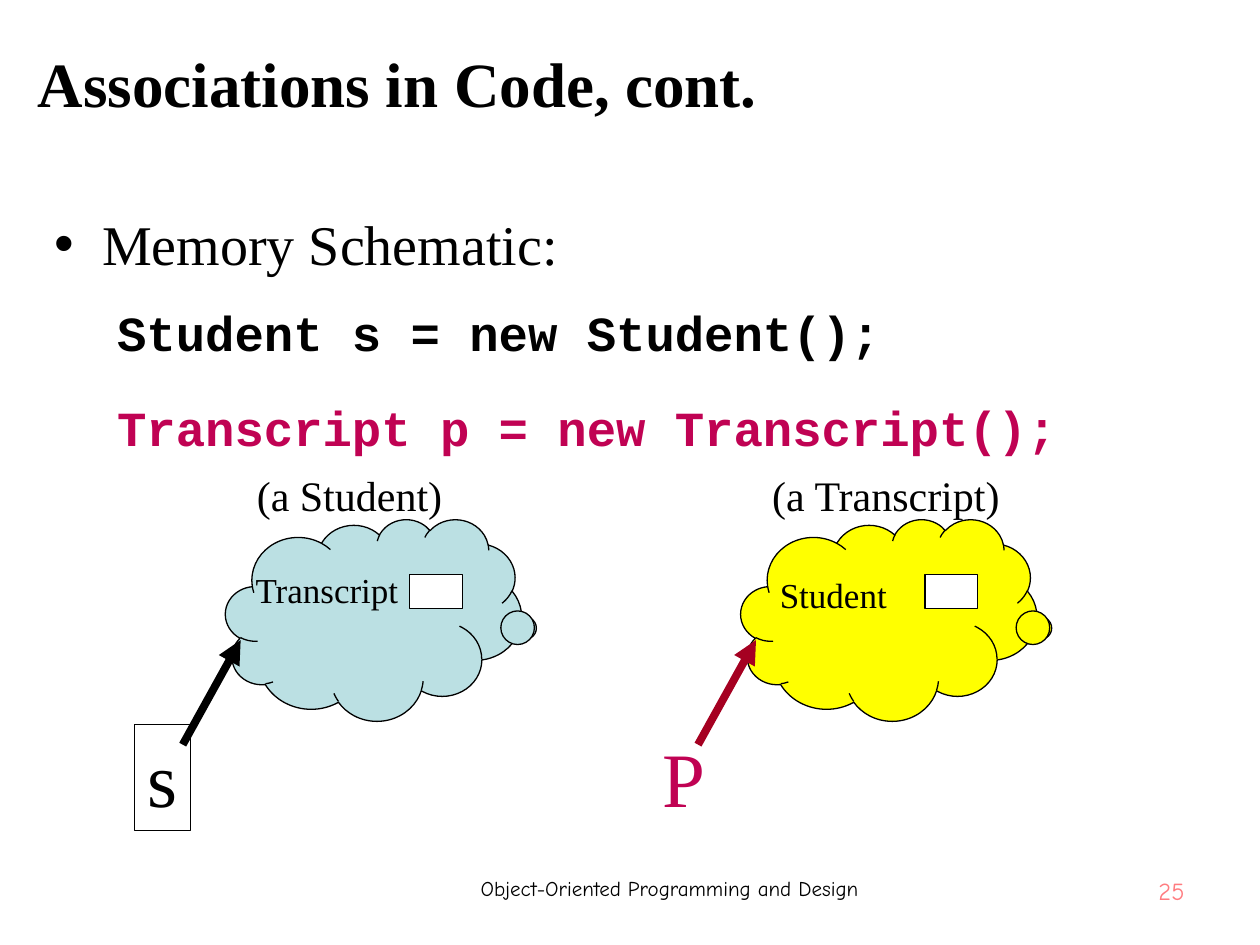
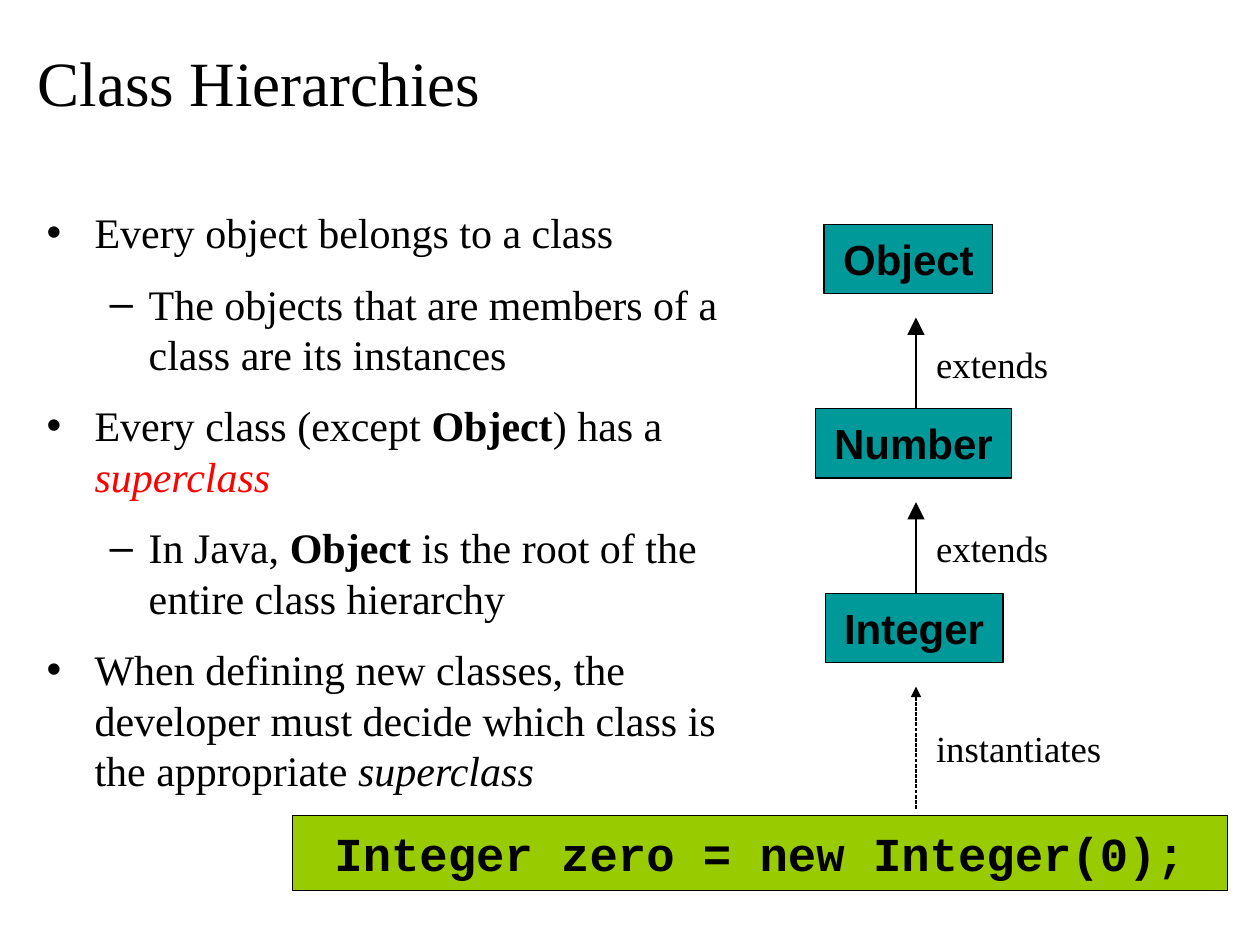
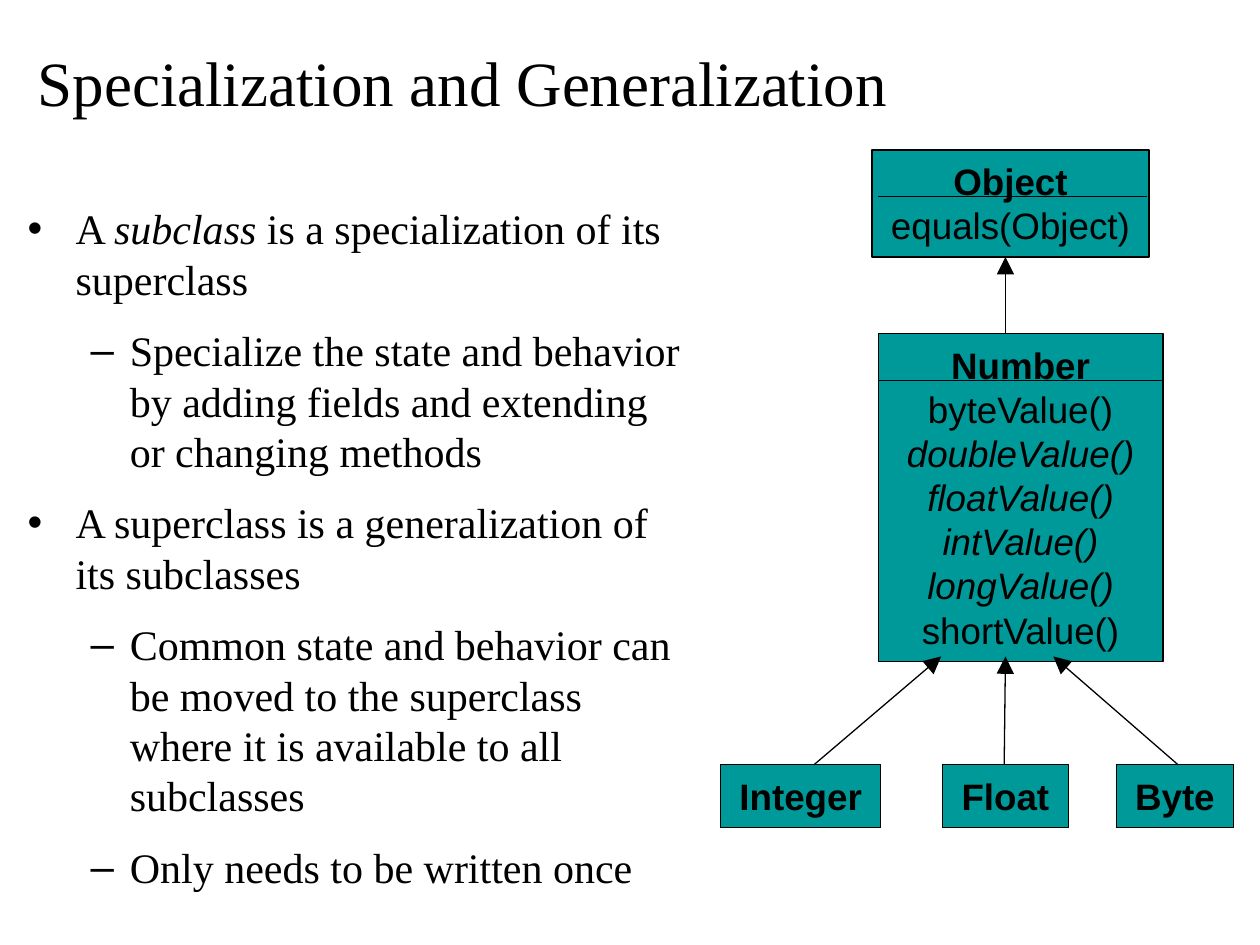
from lxml import etree
from pptx import Presentation
from pptx.dml.color import RGBColor
from pptx.enum.dml import MSO_LINE
from pptx.enum.shapes import MSO_CONNECTOR, MSO_SHAPE
from pptx.enum.text import MSO_ANCHOR, MSO_AUTO_SIZE, PP_ALIGN
from pptx.oxml.ns import qn
from pptx.util import Inches, Pt

COLORS = {
    "black": "000000", "white": "FFFFFF", "red": "FF0000", "crimson": "C00253",
    "dark red": "A50021", "pink": "FF7C80", "pale blue": "BBE0E3",
    "yellow": "FFFF00", "teal": "009999", "green": "99CC00",
}
SERIF, SANS, MONO, COMIC = "Times New Roman", "Arial", "Courier New", "Comic Neue"
LEFT, CENTER, RIGHT = PP_ALIGN.LEFT, PP_ALIGN.CENTER, PP_ALIGN.RIGHT
TEXT_INSETS, DIAGRAM_INSETS = (0.1, 0.05), (0.15, 0.07)
INDENTS = [(0.38, -0.38), (0.81, -0.31)]
BOLD, ITALIC = {"bold": True}, {"italic": True}

# Each list item is (level, text or runs, format of the paragraph).
SCHEMATIC_LIST = [
    (0, "Memory Schematic:", {"size": 32, "space": 8}),
    (1, "Student s = new Student();", {"size": 28, "font": MONO, "bold": True, "space": 7}),
    (1, "Transcript p = new Transcript();",
     {"size": 28, "font": MONO, "bold": True, "space": 7, "color": "crimson", "spacing": 1.2}),
]
HIERARCHY_LIST = [
    (0, "Every object belongs to a class", {}),
    (1, "The objects that are members of a class are its instances", {}),
    (0, [("Every class (except ", {}), ("Object", BOLD), (") has a ", {}),
         ("superclass", {"italic": True, "color": "red"})], {}),
    (1, [("In Java, ", {}), ("Object", BOLD),
         (" is the root of the entire class hierarchy", {})], {}),
    (0, [("When defining new classes, the developer must decide which class is "
          "the appropriate ", {}), ("superclass", ITALIC)], {}),
]
SPECIALIZATION_LIST = [
    (0, [("A ", {}), ("subclass", ITALIC), (" is a specialization of its superclass", {})], {}),
    (1, "Specialize the state and behavior by adding fields and extending "
        "or changing methods", {}),
    (0, "A superclass is a generalization of its subclasses", {}),
    (1, "Common state and behavior can be moved to the superclass where it is "
        "available to all subclasses", {}),
    (1, "Only needs to be written once", {}),
]

# Memory objects: cloud left, cloud fill, arrow colour, caption and its width,
# field name and its box.
MEMORY_OBJECTS = [
    (1.79, "pale blue", "black", "(a Student)", 1.8, "Transcript", (1.93, 4.46, 1.34, 0.77)),
    (5.88, "yellow", "dark red", "(a Transcript)", 2.12, "Student", (6.09, 4.5, 1.19, 0.44)),
]
# Hierarchy: class name, left, width, then the relation below it and its width.
HIERARCHY = [
    ("Object", 6.54, 1.34, "extends", 1.19),
    ("Number", 6.47, 1.56, "extends", 1.19),
    ("Integer", 6.55, 1.41, "instantiates", 1.61),
]
# Class boxes: box, lines, and the rule under the name.
CLASS_BOXES = [
    ((6.92, 1.19, 2.2, 0.85), [[("Object", BOLD)], "equals(Object)"],
     ((6.97, 1.56), (9.1, 1.56))),
    ((6.97, 2.65, 2.26, 2.6),
     [[("Number", BOLD)], "byteValue()"]
     + [[(name, ITALIC)] for name in
        ("doubleValue()", "floatValue()", "intValue()", "longValue()")]
     + ["shortValue()"],
     ((6.97, 3.02), (9.24, 3.02))),
]
# Subclasses: name, left, width, arrow start x, arrow end x.
SUBCLASSES = [
    ("Integer", 5.72, 1.27, 6.46, 7.47),
    ("Float", 7.48, 1, 7.97, 7.98),
    ("Byte", 8.86, 0.93, 9.35, 8.36),
]


def rgb(name):
    return RGBColor.from_string(COLORS[name])


def write(paragraph, text, size=24, font=SERIF, color="black", bold=False,
          italic=False, align=LEFT):
    """Fill a paragraph with a string or with (text, format) runs."""
    paragraph.alignment = align
    base = {"size": size, "font": font, "color": color, "bold": bold, "italic": italic}
    for part, changes in ([(text, {})] if isinstance(text, str) else text):
        style = base | changes
        run = paragraph.add_run()
        run.text = part
        run.font.size = Pt(style["size"])
        run.font.name = style["font"]
        run.font.bold = style["bold"]
        run.font.italic = style["italic"]
        run.font.color.rgb = rgb(style["color"])


def fill_frame(shape, lines, insets=TEXT_INSETS, wrap=True, **style):
    frame = shape.text_frame
    frame.word_wrap = wrap
    frame.auto_size = MSO_AUTO_SIZE.NONE
    frame.vertical_anchor = MSO_ANCHOR.TOP
    frame.margin_left = frame.margin_right = Inches(insets[0])
    frame.margin_top = frame.margin_bottom = Inches(insets[1])
    for index, line in enumerate(lines):
        paragraph = frame.add_paragraph() if index else frame.paragraphs[0]
        write(paragraph, line, **style)


def add_label(slide, box, text, **style):
    fill_frame(slide.shapes.add_textbox(*map(Inches, box)), [text], **style)


def add_box(slide, box, fill=None, lines=(), kind=MSO_SHAPE.RECTANGLE, **style):
    shape = slide.shapes.add_shape(kind, *map(Inches, box))
    shape.shadow.inherit = False
    if fill:
        shape.fill.solid()
        shape.fill.fore_color.rgb = rgb(fill)
    else:
        shape.fill.background()
    shape.line.color.rgb = rgb("black")
    shape.line.width = Pt(0.75)
    if lines:
        fill_frame(shape, lines, **style)
    return shape


def add_class(slide, box, lines, **style):
    add_box(slide, box, "teal", lines, font=SANS, align=CENTER,
            insets=DIAGRAM_INSETS, wrap=False, **style)


def add_line(slide, start, end, color="black", width=0.75, head=None, dash=None):
    """Draw a line; head is the arrowhead size at its end."""
    line = slide.shapes.add_connector(MSO_CONNECTOR.STRAIGHT, *map(Inches, start + end))
    line.line.color.rgb = rgb(color)
    line.line.width = Pt(width)
    if dash:
        line.line.dash_style = dash
    if head:
        etree.SubElement(line.line._get_or_add_ln(), qn("a:tailEnd"),
                         type="triangle", w=head, len=head)
    etree.SubElement(line._element.spPr, qn("a:effectLst"))


def place(shape, box):
    shape.left, shape.top, shape.width, shape.height = map(Inches, box)


def add_slide(presentation, title, items, body_box, title_box=(0.2, 0.21, 9.61, 0.87),
              bold=False):
    slide = presentation.slides.add_slide(presentation.slide_layouts[1])
    heading, body = slide.placeholders
    place(heading, title_box)
    fill_frame(heading, [title], size=36, bold=bold)
    heading.text_frame.vertical_anchor = MSO_ANCHOR.MIDDLE
    place(body, body_box)
    fill_frame(body, [])
    for index, (level, text, changes) in enumerate(items):
        style = dict(changes)
        space, spacing = style.pop("space", 6), style.pop("spacing", 1)
        frame = body.text_frame
        paragraph = frame.add_paragraph() if index else frame.paragraphs[0]
        paragraph.level = level
        paragraph.line_spacing = spacing
        paragraph.space_before = Pt(space if index else 0)
        paragraph.space_after = Pt(space)
        margin, indent = INDENTS[level]
        properties = paragraph._p.get_or_add_pPr()
        properties.set("marL", str(Inches(margin)))
        properties.set("indent", str(Inches(indent)))
        if style.get("font") == MONO:
            etree.SubElement(properties, qn("a:buNone"))
        else:
            etree.SubElement(properties, qn("a:buChar"), char="•–"[level])
        write(paragraph, text, **style)
    return slide


def add_memory_slide(presentation):
    slide = add_slide(presentation, "Associations in Code, cont.", SCHEMATIC_LIST,
                      (0.33, 1.61, 9.33, 4.5), (0.2, 0.15, 8.5, 1), bold=True)
    add_label(slide, (8.39, 6.9, 1.11, 0.45), "25", size=14, font=COMIC,
              color="pink", align=RIGHT)
    add_label(slide, (3.03, 6.9, 4.57, 0.45), "Object-Oriented Programming and Design",
              size=12, font=COMIC, align=CENTER)
    add_box(slide, (1.07, 5.75, 0.44, 0.84), lines=["s"], size=44, wrap=False)
    add_label(slide, (5.16, 5.75, 0.54, 0.84), "P", size=44, color="crimson", wrap=False)
    for left, fill, arrow, caption, caption_width, field, field_box in MEMORY_OBJECTS:
        cloud = add_box(slide, (left, 4.12, 2.35, 1.6), fill, kind=MSO_SHAPE.CLOUD_CALLOUT)
        cloud.adjustments[0], cloud.adjustments[1] = 0.5, 0.04
        add_box(slide, (left + 1.46, 4.56, 0.42, 0.27), "white")
        add_label(slide, field_box, field, size=20)
        add_line(slide, (left - 0.34, 5.91), (left + 0.12, 5.08), arrow, 4.5, "med")
        add_label(slide, (left + 0.15, 3.68, caption_width, 0.5), caption)


def add_hierarchy_slide(presentation):
    slide = add_slide(presentation, "Class Hierarchies", HIERARCHY_LIST,
                      (0.27, 1.59, 5.59, 4.93))
    top, step, axis = 1.78, 1.465, 7.27
    for index, (name, left, width, relation, relation_width) in enumerate(HIERARCHY):
        y = top + index * step
        is_instance = relation == "instantiates"
        add_class(slide, (left, y, width, 0.55), [name], bold=True)
        add_line(slide, (axis, 6.42 if is_instance else y + step), (axis, y + 0.74),
                 head="med" if is_instance else "lg",
                 dash=MSO_LINE.SQUARE_DOT if is_instance else None)
        add_label(slide, (7.28, y + (0.98 if is_instance else 0.86), relation_width, 0.5),
                  relation, size=21, align=CENTER, insets=DIAGRAM_INSETS, wrap=False)
    add_box(slide, (2.32, 6.47, 7.42, 0.6), "green", ["Integer zero = new Integer(0);"],
            size=27, font=MONO, bold=True, align=CENTER, insets=DIAGRAM_INSETS)


def add_specialization_slide(presentation):
    slide = add_slide(presentation, "Specialization and Generalization",
                      SPECIALIZATION_LIST, (0.12, 1.56, 5.43, 5.5))
    for box, lines, rule in CLASS_BOXES:
        add_class(slide, box, lines, size=21)
        add_line(slide, *rule)
    add_line(slide, (7.98, 2.65), (7.98, 2.04), head="lg")
    for name, left, width, start, end in SUBCLASSES:
        add_class(slide, (left, 6.07, width, 0.5), [name], size=21, bold=True)
        add_line(slide, (start, 6.07), (end, 5.21), head="lg")


def main():
    presentation = Presentation()
    presentation.slide_width, presentation.slide_height = Inches(10), Inches(7.5)
    add_memory_slide(presentation)
    add_hierarchy_slide(presentation)
    add_specialization_slide(presentation)
    presentation.save("out.pptx")


if __name__ == "__main__":
    main()
